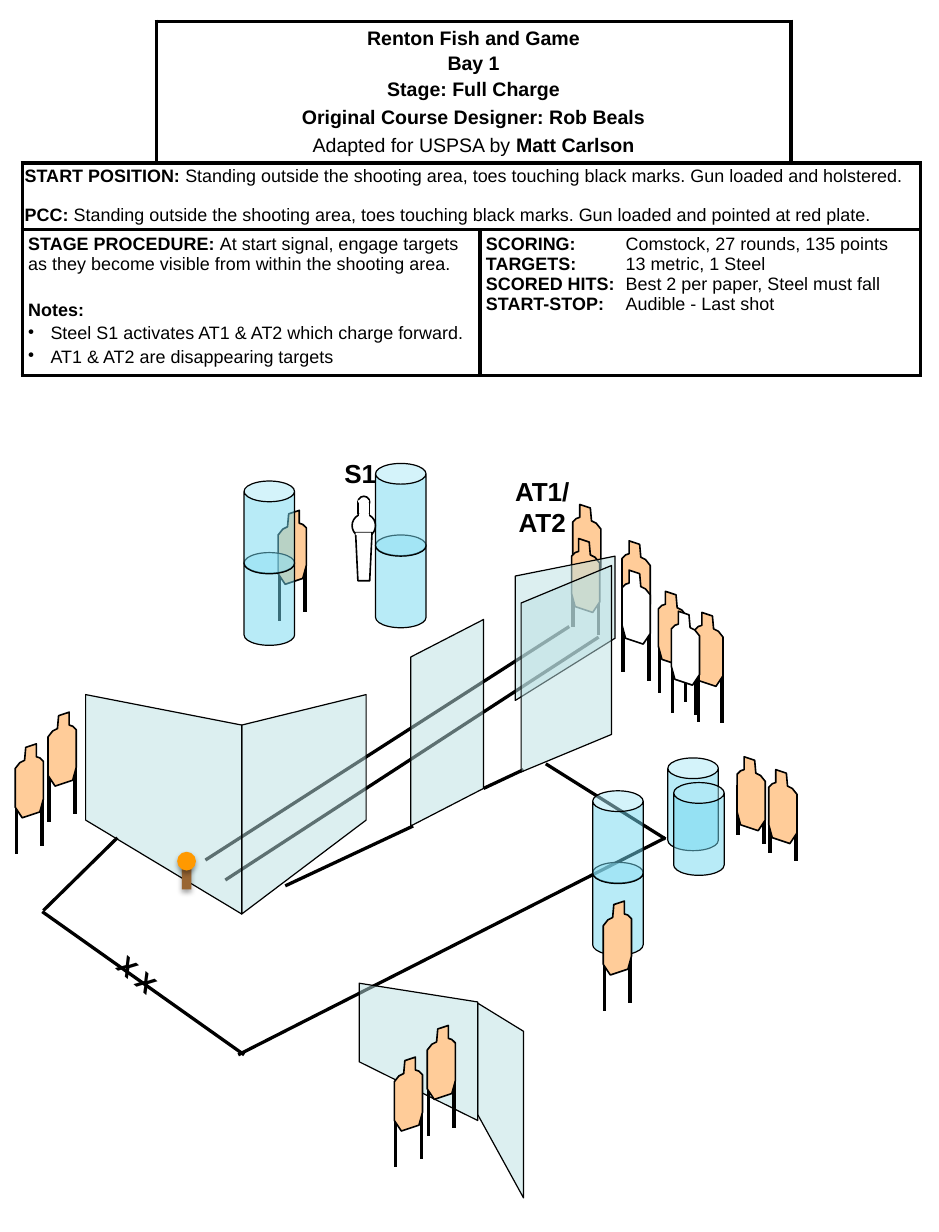
from lxml.etree import SubElement
from pptx import Presentation
from pptx.dml.color import RGBColor
from pptx.enum.shapes import MSO_CONNECTOR, MSO_SHAPE
from pptx.enum.text import MSO_ANCHOR, PP_ALIGN
from pptx.oxml.ns import qn
from pptx.util import Inches, Pt

BLACK = RGBColor(0x00, 0x00, 0x00)
WHITE = RGBColor(0xFF, 0xFF, 0xFF)
TAN = RGBColor(0xFF, 0xCC, 0x99)
WALL_BLUE = RGBColor(0xBB, 0xE0, 0xE3)
BARREL_BLUE = RGBColor(0x73, 0xD9, 0xF1)
ORANGE = RGBColor(0xFF, 0x99, 0x00)
BROWN = RGBColor(0x99, 0x66, 0x33)

TARGET_WIDTH = 0.24
TARGET_OUTLINE = [(0.15, 0.03), (0.06, 0), (0.06, 0.11), (0.03, 0.12), (0, 0.15),
                  (0, 0.47), (0.03, 0.58), (0.18, 0.63), (0.24, 0.54),
                  (0.24, 0.21), (0.2, 0.16), (0.16, 0.14)]


def style_shape(shape, fill, line=None, width=1, opacity=100):
    shape.shadow.inherit = False
    shape.fill.solid()
    shape.fill.fore_color.rgb = fill
    if opacity < 100:
        color = shape._element.spPr.find(qn("a:solidFill")).find(qn("a:srgbClr"))
        SubElement(color, qn("a:alpha"), val=str(opacity * 1000))
    if line is None:
        shape.line.fill.background()
    else:
        shape.line.color.rgb = line
        shape.line.width = Pt(width)


def add_preset(slide, kind, box, fill, line=None, width=1, opacity=100):
    shape = slide.shapes.add_shape(kind, *map(Inches, box))
    style_shape(shape, fill, line, width, opacity)
    return shape


def add_polygon(slide, points, fill, width=1, opacity=100):
    corners = [(Inches(x), Inches(y)) for x, y in points]
    builder = slide.shapes.build_freeform(*corners[0], scale=1.0)
    builder.add_line_segments(corners[1:], close=True)
    style_shape(builder.convert_to_shape(), fill, BLACK, width, opacity)


def add_line(slide, start, end, width=2):
    line = slide.shapes.add_connector(
        MSO_CONNECTOR.STRAIGHT, *map(Inches, (*start, *end)))
    line.line.color.rgb = BLACK
    line.line.width = Pt(width)
    SubElement(line._element.spPr, qn("a:effectLst"))


def add_wall(slide, *points):
    add_polygon(slide, points, WALL_BLUE, 0.75, 50)


def add_target(slide, left, top, fill=TAN, mirrored=False, leg_top=0.51):
    """Leg top is the drop to the lower leg; None leaves the legs out."""
    def place(x, y):
        return left + (TARGET_WIDTH - x if mirrored else x), top + y

    if leg_top is not None:
        for x, y in ((0.23, leg_top), (0.01, leg_top - 0.07)):
            add_line(slide, place(x, y), place(x, y + 0.43), 2.25)
    add_polygon(slide, [place(x, y) for x, y in TARGET_OUTLINE], fill)


def add_barrels(slide, left, top, count=1):
    for level in reversed(range(count)):
        barrel = add_preset(slide, MSO_SHAPE.CAN, (left, top + level * 0.61, 0.43, 0.79),
                            BARREL_BLUE, BLACK, 0.75, 50)
        barrel.adjustments[0] = 0.41


def add_popper(slide, left, top):
    """Steel plate: outlined parts, then white strips that hide the joints."""
    add_preset(slide, MSO_SHAPE.OVAL, (left + 0.05, top, 0.1, 0.1), WHITE, BLACK)
    add_preset(slide, MSO_SHAPE.OVAL, (left, top + 0.15, 0.2, 0.2), WHITE, BLACK)
    stem = [(0.03, 0.31), (0.17, 0.31), (0.15, 0.72), (0.05, 0.72)]
    add_polygon(slide, [(left + x, top + y) for x, y in stem], WHITE)
    add_preset(slide, MSO_SHAPE.RECTANGLE, (left + 0.05, top + 0.05, 0.1, 0.1), WHITE, BLACK)
    for x, y, width, height, line in ((0.03, 0.31, 0.13, 0.02, None),
                                      (0.07, 0.15, 0.07, 0.02, WHITE),
                                      (0.06, 0.04, 0.08, 0.01, WHITE)):
        add_preset(slide, MSO_SHAPE.RECTANGLE, (left + x, top + y, width, height), WHITE, line)


def add_plate(slide, left, top):
    for kind, box, fill in (
            (MSO_SHAPE.RECTANGLE, (left + 0.04, top + 0.1, 0.08, 0.22), BROWN),
            (MSO_SHAPE.OVAL, (left, top, 0.16, 0.16), ORANGE)):
        shape = add_preset(slide, kind, box, fill)
        effects = shape._element.spPr.find(qn("a:effectLst"))
        shadow = SubElement(effects, qn("a:outerShdw"), blurRad=str(Pt(3.1)),
                            dist=str(Pt(1.8)), dir="5400000", rotWithShape="0")
        color = SubElement(shadow, qn("a:srgbClr"), val="000000")
        SubElement(color, qn("a:alpha"), val="35000")


def add_label(slide, text, box, rotation=0):
    label = slide.shapes.add_textbox(*map(Inches, box))
    label.rotation = rotation
    label.text_frame.word_wrap = True
    paragraph = label.text_frame.paragraphs[0]
    paragraph.text = text
    paragraph.alignment = PP_ALIGN.CENTER
    font = paragraph.font
    font.name, font.size, font.bold, font.color.rgb = "Arial", Pt(16), True, BLACK


def style_cell(cell, hidden_edges=""):
    properties = cell._tc.get_or_add_tcPr()
    for edge in "LRTB":
        line = SubElement(properties, qn(f"a:ln{edge}"), w=str(Pt(2.25)))
        if edge in hidden_edges:
            SubElement(line, qn("a:noFill"))
        else:
            fill = SubElement(line, qn("a:solidFill"))
            SubElement(fill, qn("a:srgbClr"), val=str(BLACK))
    cell.fill.solid()
    cell.fill.fore_color.rgb = WHITE


def fill_cell(cell, paragraphs, size, side=0.05, align=None, spacing=None, tab=None):
    """Each paragraph is (space before, bold text, plain text, bulleted)."""
    cell.margin_left = cell.margin_right = Inches(side)
    cell.margin_top = cell.margin_bottom = Inches(0.04)
    frame = cell.text_frame
    for index, (space, bold, plain, bulleted) in enumerate(paragraphs):
        paragraph = frame.add_paragraph() if index else frame.paragraphs[0]
        properties = paragraph._p.get_or_add_pPr()
        if bulleted:
            properties.set("marL", str(Inches(0.19)))
            properties.set("indent", str(-Inches(0.19)))
            SubElement(properties, qn("a:buChar"), char="•")
        if tab:
            stops = SubElement(properties, qn("a:tabLst"))
            SubElement(stops, qn("a:tab"), pos=str(Inches(tab)), algn="l")
        paragraph.alignment = align
        paragraph.line_spacing = spacing
        if space:
            paragraph.space_before = Pt(space)
        font = paragraph.font
        font.name, font.size, font.color.rgb = "Arial", Pt(size), BLACK
        for text, is_bold in ((bold, True), (plain, False)):
            if text:
                run = paragraph.add_run()
                run.text = text
                run.font.bold = is_bold


def add_briefing(slide, left, top, width, height):
    table = slide.shapes.add_table(3, 4, *map(Inches, (left, top, width, height))).table
    table.first_row = table.horz_banding = False
    for column, share in zip(table.columns, (1.14, 2.76, 2.65, 1.1)):
        column.width = Inches(width * share / 7.65)
    for row, share in zip(table.rows, (1.21, 0.57, 1.24)):
        row.height = Inches(height * share / 3.02)
    hidden = {(0, 0): "LT", (0, 3): "RT"}
    for row in range(3):
        for column in range(4):
            style_cell(table.cell(row, column), hidden.get((row, column), ""))
    for row, first, last in ((0, 1, 2), (1, 0, 3), (2, 0, 1), (2, 2, 3)):
        table.cell(row, first).merge(table.cell(row, last))

    title = table.cell(0, 1)
    title.vertical_anchor = MSO_ANCHOR.MIDDLE
    fill_cell(title, [(0, "Renton Fish and Game", "", False), (2.2, "Bay 1", "", False),
                      (2.2, "Stage: Full Charge", "", False),
                      (4, "Original Course Designer: Rob Beals", "", False),
                      (4, "", "Adapted for USPSA by ", False)], 12, align=PP_ALIGN.CENTER)
    designer = title.text_frame.paragraphs[-1].add_run()
    designer.text = "Matt Carlson"
    designer.font.bold = True
    stance = "Standing outside the shooting area, toes touching black marks. Gun loaded and "
    fill_cell(table.cell(1, 0), [(0, "START POSITION: ", stance + "holstered.", False),
                                 (13, "PCC: ", stance + "pointed at red plate.", False)],
              11, side=0.02, spacing=0.9)
    fill_cell(table.cell(2, 0), [
        (0, "STAGE PROCEDURE: ", "At start signal, engage targets as they become visible "
         "from within the shooting area.", False),
        (16, "Notes:", "", False),
        (2, "", "Steel S1 activates AT1 & AT2 which charge forward.", True),
        (2, "", "AT1 & AT2 are disappearing targets", True)], 11)
    scoring = (("SCORING:", "Comstock, 27 rounds, 135 points"),
               ("TARGETS:", "13 metric, 1 Steel"),
               ("SCORED HITS:", "Best 2 per paper, Steel must fall"),
               ("START-STOP:", "Audible - Last shot"))
    fill_cell(table.cell(2, 2), [(0, name, "\t" + value, False) for name, value in scoring],
              11, tab=1.19)


def add_course(slide):
    """Parts go from back to front, since walls and barrels are see-through."""
    add_line(slide, (5.67, 7.14), (2.03, 8.99))
    add_target(slide, 4.88, 4.3, leg_top=None)
    add_target(slide, 4.87, 4.59, leg_top=0.39)
    add_popper(slide, 3, 4.23)
    add_line(slide, (1.75, 7.33), (4.85, 5.34))
    add_line(slide, (1.92, 7.5), (5.1, 5.43))
    add_wall(slide, (3.12, 6.99), (2.06, 7.79), (2.06, 6.18), (3.12, 5.92))
    add_wall(slide, (0.73, 6.99), (2.06, 7.79), (2.06, 6.18), (0.73, 5.92))
    add_wall(slide, (5.24, 5.44), (4.39, 5.97), (4.39, 4.91), (5.24, 4.74))
    add_target(slide, 0.13, 6.34, mirrored=True)
    add_target(slide, 0.41, 6.07, mirrored=True)
    add_wall(slide, (3.06, 9.05), (4.07, 9.55), (4.07, 8.54), (3.06, 8.38))
    add_target(slide, 5.3, 4.61)
    add_target(slide, 5.3, 4.86, WHITE)
    add_wall(slide, (3.5, 5.6), (4.12, 5.28), (4.12, 6.72), (3.5, 7.04))
    for start, end in (((0.36, 7.77), (2.08, 8.99)), ((1, 7.14), (0.37, 7.76)),
                       ((4.65, 6.51), (5.67, 7.15)), ((4.46, 6.56), (4.12, 6.72)),
                       ((3.52, 7.04), (2.43, 7.55))):
        add_line(slide, start, end)
    add_target(slide, 5.61, 5.04)
    for left, top in ((3.36, 9.01), (3.64, 8.74), (2.37, 4.35)):
        add_target(slide, left, top, mirrored=True)
    add_barrels(slide, 2.08, 4.1, 2)
    add_target(slide, 5.92, 5.22)
    add_target(slide, 5.72, 5.21, WHITE)
    add_target(slide, 6.28, 6.45, leg_top=0.31)
    add_target(slide, 6.55, 6.56, leg_top=0.35)
    add_barrels(slide, 5.05, 6.74, 2)
    add_target(slide, 5.14, 7.68, mirrored=True)
    add_label(slide, "X X", (0.88, 8.12, 0.58, 0.37), 40.6)
    add_label(slide, "AT1/AT2", (4.26, 4, 0.72, 0.64))
    add_label(slide, "S1", (2.71, 3.85, 0.72, 0.37))
    add_barrels(slide, 3.2, 3.95, 2)
    add_wall(slide, (4.44, 5.14), (5.21, 4.82), (5.21, 6.26), (4.44, 6.58))
    add_barrels(slide, 5.69, 6.46)
    add_barrels(slide, 5.74, 6.67)
    add_wall(slide, (4.07, 9.5), (4.46, 10.21), (4.46, 8.79), (4.07, 8.55))
    add_plate(slide, 1.51, 7.26)


def main():
    presentation = Presentation()
    presentation.slide_width, presentation.slide_height = Inches(8), Inches(10.5)
    slide = presentation.slides.add_slide(presentation.slide_layouts[6])
    add_briefing(slide, 0.19, 0.18, 7.65, 3.02)
    add_course(slide)
    presentation.save("out.pptx")


if __name__ == "__main__":
    main()
